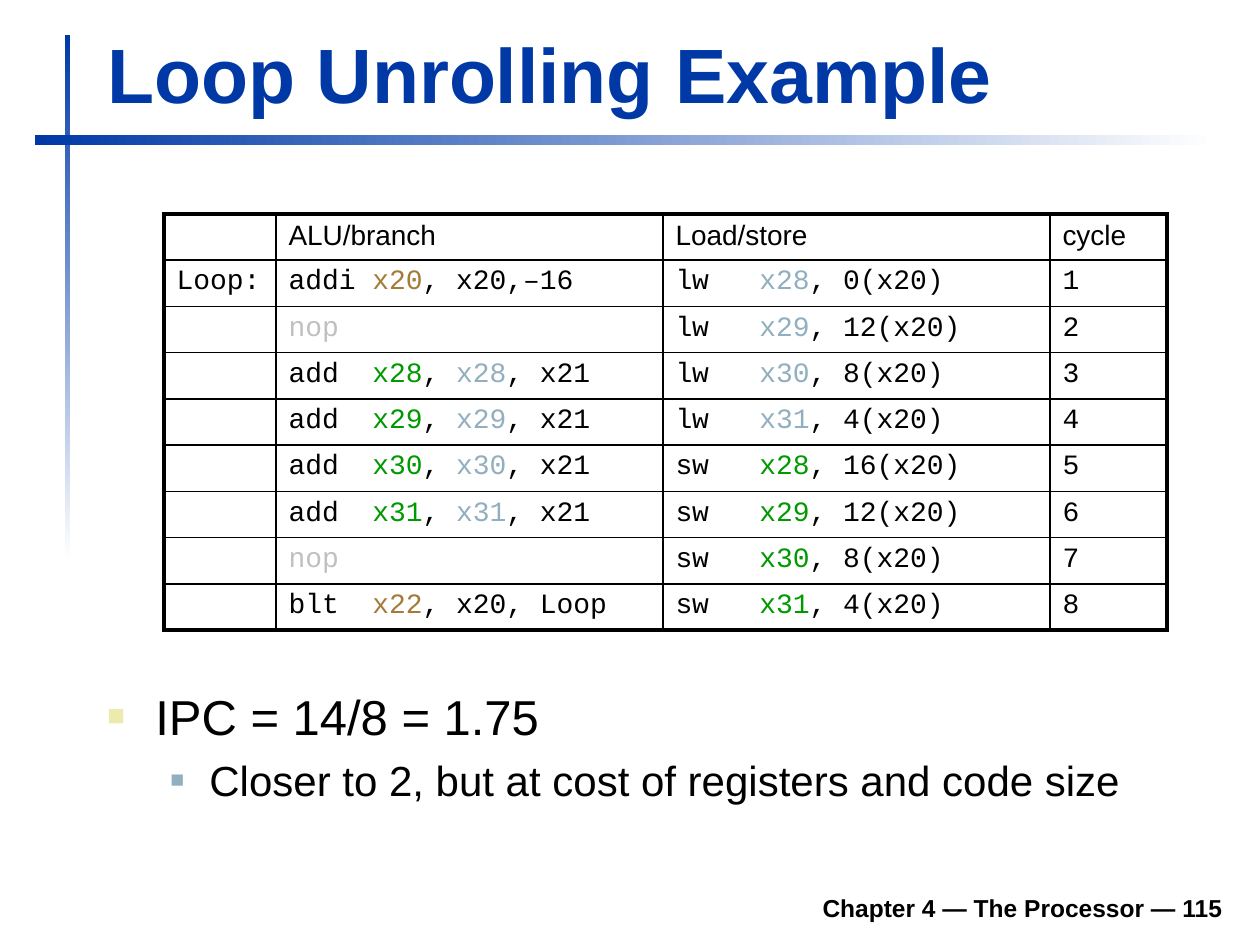
from lxml.etree import SubElement
from pptx import Presentation
from pptx.dml.color import RGBColor
from pptx.enum.shapes import MSO_SHAPE
from pptx.enum.text import MSO_ANCHOR, PP_ALIGN
from pptx.oxml.ns import qn
from pptx.util import Pt

PX = 914400 // 126  # EMU in one px

BLACK = RGBColor(0x00, 0x00, 0x00)
WHITE = RGBColor(0xFF, 0xFF, 0xFF)
BLUE = RGBColor(0x00, 0x39, 0xA6)
GREEN = RGBColor(0x00, 0x99, 0x00)
STEEL = RGBColor(0x91, 0xAF, 0xBF)
BROWN = RGBColor(0xA4, 0x7B, 0x38)
GRAY = RGBColor(0xC0, 0xC0, 0xC0)
CREAM = RGBColor(0xEC, 0xEA, 0xAC)

SANS, MONO = "Arial", "Courier New"
COLUMN_WIDTHS = (112, 387, 387, 117)
ROW_HEIGHT = 44
THIN, MEDIUM, THICK = 1, 1.5, 2.25


def px(*lengths):
    return [length * PX for length in lengths]


def add_run(paragraph, text, size, color=BLACK, font=SANS, bold=False):
    run = paragraph.add_run()
    run.text = text
    run.font.name = font
    run.font.size = Pt(size)
    run.font.bold = bold
    run.font.color.rgb = color


def add_text_frame(slide, box, anchor):
    frame = slide.shapes.add_textbox(*px(*box)).text_frame
    frame.word_wrap = True
    frame.vertical_anchor = anchor
    return frame


def add_gradient_bar(slide, box, angle):
    bar = slide.shapes.add_shape(MSO_SHAPE.RECTANGLE, *px(*box))
    bar.shadow.inherit = False
    bar.line.fill.background()
    bar.fill.gradient()
    bar.fill.gradient_angle = angle
    for stop, color in zip(bar.fill.gradient_stops, (BLUE, WHITE)):
        stop.color.rgb = color


def add_heading(slide, box):
    """Title with the fading bars that cross at its lower left."""
    left, top, width, height = box
    add_gradient_bar(slide, (left - 30, top + 15, 5, 525), 270)
    add_gradient_bar(slide, (left - 60, top + 115, 1181, 10), 0)
    frame = add_text_frame(slide, box, MSO_ANCHOR.BOTTOM)
    add_run(frame.paragraphs[0], "Loop Unrolling Example", 44, BLUE, bold=True)


def addi_code():
    return [("addi ", BLACK), ("x20", BROWN), (", x20,–16", BLACK)]


def nop_code():
    return [("nop", GRAY)]


def add_code(register):
    return [("add  ", BLACK), (register, GREEN), (", ", BLACK),
            (register, STEEL), (", x21", BLACK)]


def blt_code():
    return [("blt  ", BLACK), ("x22", BROWN), (", x20, Loop", BLACK)]


def memory_code(operation, register, offset):
    color = STEEL if operation == "lw" else GREEN
    return [(f"{operation}   ", BLACK), (register, color),
            (f", {offset}(x20)", BLACK)]


def schedule_rows():
    """Cells of the schedule, each one a list of coloured runs."""
    registers = ("x28", "x29", "x30", "x31")
    alu = [addi_code(), nop_code(), *map(add_code, registers),
           nop_code(), blt_code()]
    memory = [memory_code("lw", register, offset)
              for register, offset in zip(registers, (0, 12, 8, 4))]
    memory += [memory_code("sw", register, offset)
               for register, offset in zip(registers, (16, 12, 8, 4))]
    rows = [[[], [("ALU/branch", BLACK)], [("Load/store", BLACK)],
             [("cycle", BLACK)]]]
    for cycle, (left, right) in enumerate(zip(alu, memory), start=1):
        label = [("Loop:", BLACK)] if cycle == 1 else []
        rows.append([label, left, right, [(str(cycle), BLACK)]])
    return rows


def set_borders(cell, **widths):
    properties = cell._tc.get_or_add_tcPr()
    for side in "LRTB":
        line = SubElement(properties, qn(f"a:ln{side}"), w=str(Pt(widths[side])))
        fill = SubElement(line, qn("a:solidFill"))
        SubElement(fill, qn("a:srgbClr"), val=str(BLACK))


def add_schedule(slide, left, top):
    rows = schedule_rows()
    last_row, last_column = len(rows) - 1, len(COLUMN_WIDTHS) - 1
    table = slide.shapes.add_table(
        len(rows), len(COLUMN_WIDTHS),
        *px(left, top, sum(COLUMN_WIDTHS), ROW_HEIGHT * len(rows))).table
    table.first_row = table.horz_banding = False
    for column, width in zip(table.columns, COLUMN_WIDTHS):
        column.width = width * PX
    for r, row in enumerate(rows):
        table.rows[r].height = ROW_HEIGHT * PX
        for c, runs in enumerate(row):
            cell = table.cell(r, c)
            set_borders(
                cell,
                L=THICK if c == 0 else THIN,
                R=THICK if c == last_column else THIN,
                T={0: THICK, 1: MEDIUM}.get(r, THIN),
                B={0: MEDIUM, last_row: THICK}.get(r, THIN))
            cell.fill.background()
            paragraph = cell.text_frame.paragraphs[0]
            for text, color in runs:
                add_run(paragraph, text, 16, color, MONO if r else SANS)
            if not runs:
                SubElement(paragraph._p, qn("a:endParaRPr"), sz="1600")


def set_bullet(paragraph, color, percent, margin, hanging):
    properties = paragraph._p.get_or_add_pPr()
    properties.set("marL", str(margin * PX))
    properties.set("indent", str(-hanging * PX))
    bullet_color = SubElement(properties, qn("a:buClr"))
    SubElement(bullet_color, qn("a:srgbClr"), val=str(color))
    SubElement(properties, qn("a:buSzPct"), val=str(percent * 1000))
    SubElement(properties, qn("a:buFont"), typeface=SANS)
    SubElement(properties, qn("a:buChar"), char="■")


def add_conclusion(slide, box):
    frame = add_text_frame(slide, box, MSO_ANCHOR.TOP)
    frame.margin_top = 12 * PX
    result = frame.paragraphs[0]
    set_bullet(result, CREAM, 60, 48, 48)
    add_run(result, "IPC = 14/8 = 1.75", 28)
    remark = frame.add_paragraph()
    remark.level = 1
    set_bullet(remark, STEEL, 55, 102, 39)
    remark.space_before = Pt(5.5)
    add_run(remark, "Closer to 2, but at cost of registers and code size", 24)


def add_footer(slide, box):
    paragraph = add_text_frame(slide, box, MSO_ANCHOR.BOTTOM).paragraphs[0]
    paragraph.alignment = PP_ALIGN.RIGHT
    add_run(paragraph, "Chapter 4 — The Processor — 115", 14, bold=True)


def main():
    presentation = Presentation()
    presentation.slide_width, presentation.slide_height = px(1260, 945)
    slide = presentation.slides.add_slide(presentation.slide_layouts[6])
    add_heading(slide, (95, 20, 1138, 105))
    add_schedule(slide, 164, 214)
    add_conclusion(slide, (95, 674, 1140, 185))
    add_footer(slide, (118, 880, 1117, 49))
    presentation.save("out.pptx")


if __name__ == "__main__":
    main()
